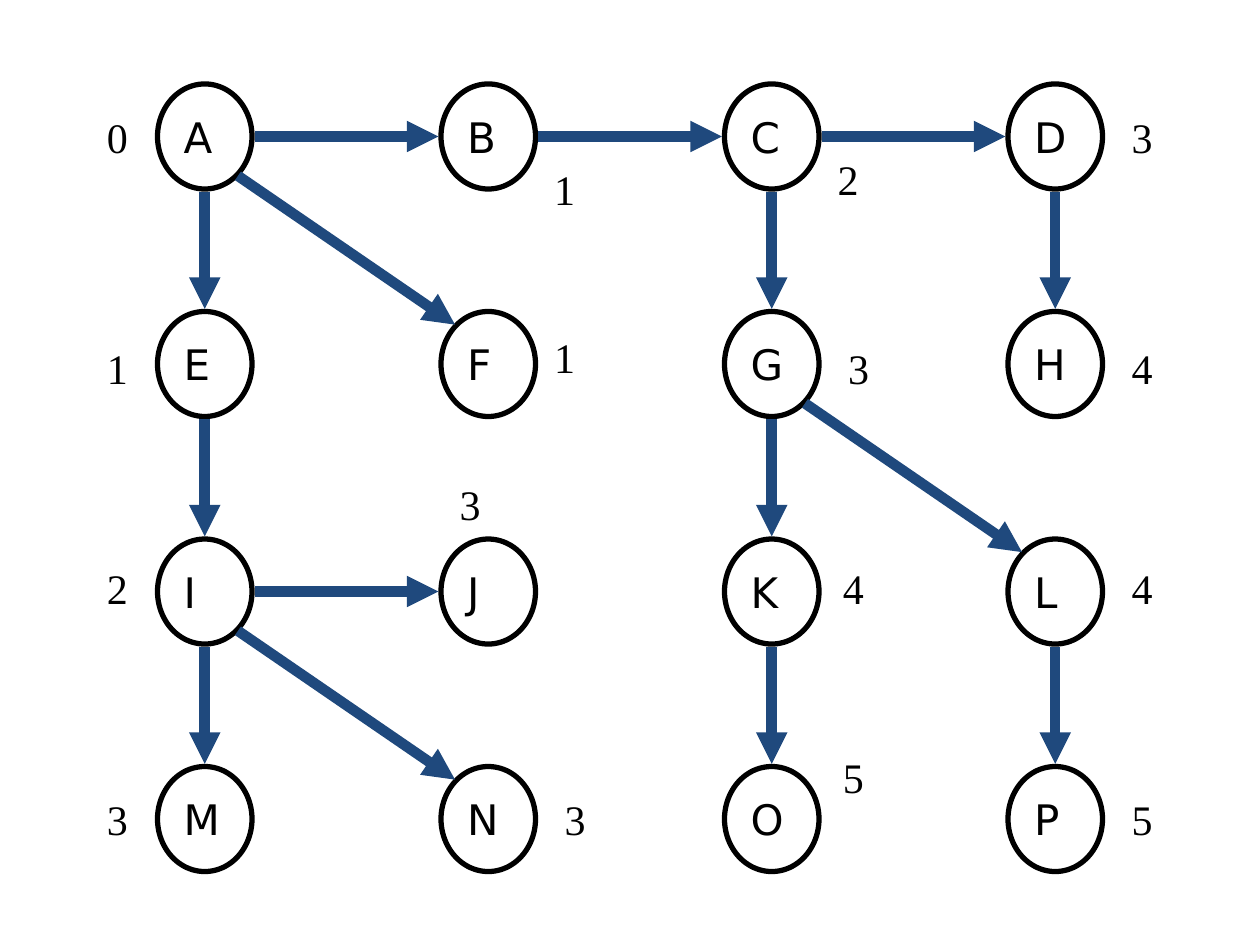
from dataclasses import dataclass
from lxml import etree
from pptx import Presentation
from pptx.dml.color import RGBColor
from pptx.enum.shapes import MSO_CONNECTOR, MSO_SHAPE
from pptx.enum.text import MSO_ANCHOR, MSO_AUTO_SIZE, PP_ALIGN
from pptx.oxml.ns import qn
from pptx.util import Pt

STRAIGHT = MSO_CONNECTOR.STRAIGHT
OVAL = MSO_SHAPE.OVAL
TOP, MIDDLE = MSO_ANCHOR.TOP, MSO_ANCHOR.MIDDLE
NO_FIT, FIT_SHAPE = MSO_AUTO_SIZE.NONE, MSO_AUTO_SIZE.SHAPE_TO_FIT_TEXT
LEFT = PP_ALIGN.LEFT


@dataclass(frozen=True)
class Theme:
    ink: RGBColor = RGBColor(0x00, 0x00, 0x00)
    edge: RGBColor = RGBColor(0x1F, 0x49, 0x7D)
    text_size: int = 24
    node_font: str = "DejaVu Sans"
    depth_font: str = "Times New Roman"


THEME = Theme()


def write(shape, text, *, font, anchor=TOP, fit=NO_FIT):
    frame = shape.text_frame
    frame.word_wrap = False
    frame.auto_size = fit
    frame.vertical_anchor = anchor
    paragraph = frame.paragraphs[0]
    paragraph.alignment = LEFT
    run = paragraph.add_run()
    run.text = text
    run.font.name = font
    run.font.size = Pt(THEME.text_size)
    run.font.color.rgb = THEME.ink


prs = Presentation()
prs.slide_width, prs.slide_height = Pt(720), Pt(540)
slide = prs.slides.add_slide(prs.slide_layouts[6])

NODE_W, NODE_H = 54, 60
COLUMN_STEP, ROW_STEP = 162, 130
centers = {}
for index, name in enumerate("ABCDEFGHIJKLMNOP"):
    row, column = divmod(index, 4)
    x, y = 90 + column * COLUMN_STEP, 48 + row * ROW_STEP
    centers[name] = (x + NODE_W / 2, y + NODE_H / 2)
    node = slide.shapes.add_shape(OVAL, Pt(x), Pt(y), Pt(NODE_W), Pt(NODE_H))
    node.shadow.inherit = False
    node.fill.background()
    node.line.color.rgb = THEME.ink
    node.line.width = Pt(3)
    write(node, name, font=THEME.node_font, anchor=MIDDLE)

STRAIGHT_REACH = (28.5, 31.5)
DIAGONAL_REACH = (19, 22.5)
for parent, child in "AF CD IJ BC AB GL IN IM EI AE DH GK KO CG LP".split():
    (x1, y1), (x2, y2) = centers[parent], centers[child]
    step_x, step_y = int(x2 > x1), int(y2 > y1)
    reach_x, reach_y = DIAGONAL_REACH if step_x and step_y else STRAIGHT_REACH
    dx, dy = step_x * reach_x, step_y * reach_y
    edge = slide.shapes.add_connector(
        STRAIGHT, Pt(x1 + dx), Pt(y1 + dy), Pt(x2 - dx), Pt(y2 - dy))
    edge.line.color.rgb = THEME.edge
    edge.line.width = Pt(6)
    etree.SubElement(edge.line._get_or_add_ln(), qn("a:tailEnd"), type="triangle")
    etree.SubElement(edge._element.spPr, qn("a:effectLst"))

DEPTH_ROWS = (60, 192, 318, 450)
depths = [(54, y, depth) for y, depth in zip(DEPTH_ROWS, "0123")]
depths += [(639.5, y, depth) for y, depth in zip(DEPTH_ROWS, "3445")]
depths += [
    (309.5, 90, "1"), (309.5, 186, "1"), (255.5, 270, "3"), (315.5, 450, "3"),
    (471.5, 84, "2"), (477.5, 192, "3"), (474.5, 318, "4"), (474.5, 426, "5"),
]
for x, y, depth in depths:
    depth_label = slide.shapes.add_textbox(Pt(x), Pt(y), Pt(26), Pt(36))
    write(depth_label, depth, font=THEME.depth_font, fit=FIT_SHAPE)

prs.save("out.pptx")
